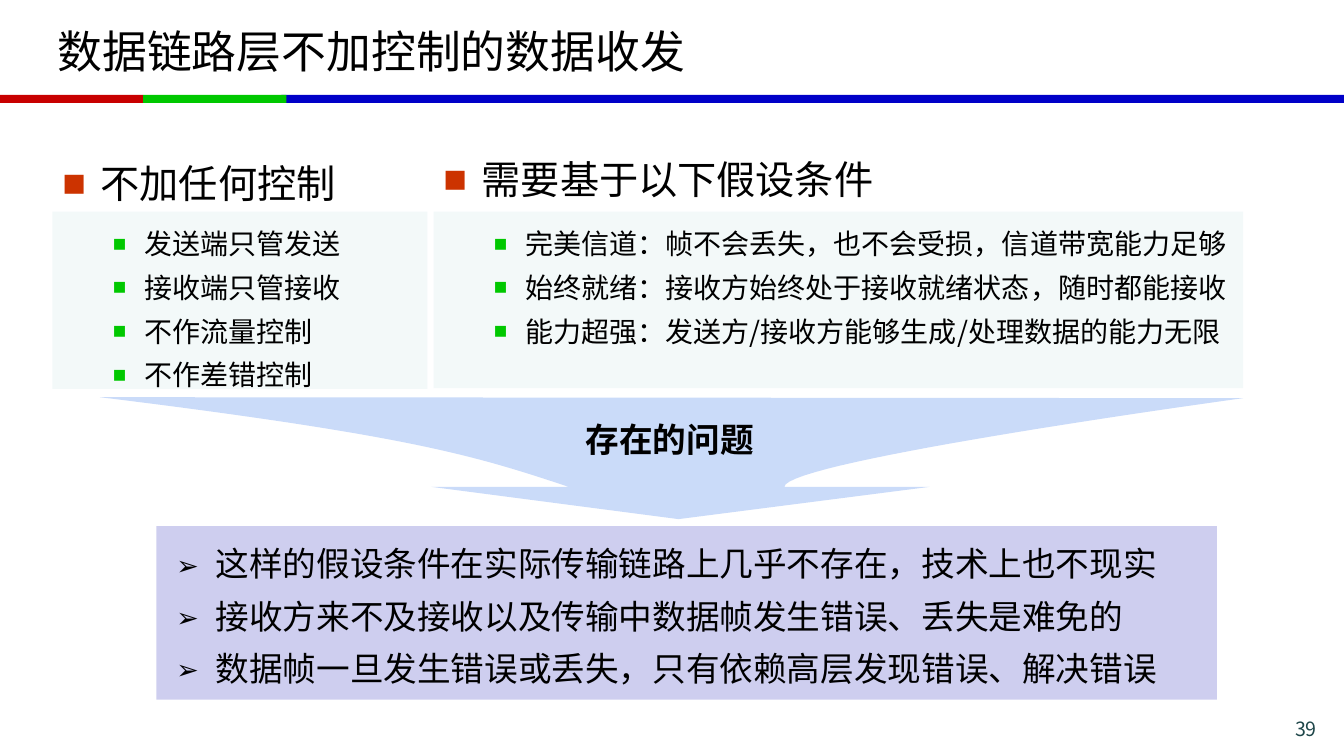
from dataclasses import dataclass

from lxml.etree import SubElement
from pptx import Presentation
from pptx.dml.color import RGBColor
from pptx.enum.shapes import MSO_SHAPE
from pptx.enum.text import MSO_ANCHOR, MSO_AUTO_SIZE, PP_ALIGN
from pptx.oxml.ns import qn
from pptx.shapes.autoshape import Shape
from pptx.slide import Slide
from pptx.text.text import TextFrame
from pptx.util import Inches, Pt


@dataclass(frozen=True)
class Theme:
    font: str = "Noto Sans CJK SC"
    label_font: str = "Arial"
    text: str = "000000"
    number: str = "1E4649"
    red: str = "C80000"
    green: str = "00C800"
    blue: str = "0000C8"
    heading_mark: str = "CC3300"
    panel: str = "8AC6CD"
    arrow: str = "6697F0"
    problems: str = "CECEEF"
    title_size: int = 32
    heading_size: int = 28
    problem_size: int = 24
    panel_size: int = 20
    number_size: int = 14


THEME = Theme()


@dataclass(frozen=True)
class Area:
    left: float
    top: float
    width: float
    height: float

    def lengths(self) -> tuple:
        return tuple(Inches(v) for v in (self.left, self.top, self.width, self.height))


@dataclass(frozen=True)
class Bullet:
    mark: str
    color: str
    margin: float
    hanging: float
    percent: int = 100
    font: str = THEME.label_font


@dataclass(frozen=True)
class TextStyle:
    size: int
    color: str = THEME.text
    font: str = THEME.font
    bold: bool = False
    leading: float | None = None  # line pitch as a multiple of the type size
    level: int = 0
    align: PP_ALIGN = PP_ALIGN.LEFT
    bullet: Bullet | None = None


@dataclass(frozen=True)
class Block:
    area: Area
    lines: tuple[str, ...]
    style: TextStyle
    fill: str | None = None
    opacity: int = 100
    one_line: bool = False


def add_bullet(para, bullet: Bullet) -> None:
    props = para._p.get_or_add_pPr()
    props.set("marL", str(Inches(bullet.margin)))
    props.set("indent", str(-Inches(bullet.hanging)))
    color = SubElement(props, qn("a:buClr"))
    SubElement(color, qn("a:srgbClr"), val=bullet.color)
    SubElement(props, qn("a:buSzPct"), val=str(bullet.percent * 1000))
    SubElement(props, qn("a:buFont"), typeface=bullet.font)
    SubElement(props, qn("a:buChar"), char=bullet.mark)


def write_lines(frame: TextFrame, lines: tuple[str, ...], style: TextStyle) -> None:
    for index, line in enumerate(lines):
        para = frame.add_paragraph() if index else frame.paragraphs[0]
        if style.bullet:
            add_bullet(para, style.bullet)
        para.level = style.level
        para.alignment = style.align
        if style.leading:
            para.line_spacing = Pt(round(style.size * style.leading, 1))
        span = para.add_run()
        span.text = line
        span.font.name = style.font
        span.font.size = Pt(style.size)
        span.font.bold = style.bold
        span.font.color.rgb = RGBColor.from_string(style.color)
        SubElement(span.font._element, qn("a:ea"), typeface=THEME.font)


def paint(shape: Shape, color: str, opacity: int = 100) -> None:
    shape.shadow.inherit = False
    shape.line.fill.background()
    shape.fill.solid()
    shape.fill.fore_color.rgb = RGBColor.from_string(color)
    if opacity < 100:
        tint = shape._element.spPr.find(qn("a:solidFill")).find(qn("a:srgbClr"))
        SubElement(tint, qn("a:alpha"), val=str(opacity * 1000))


def add_panel(page: Slide, area: Area, color: str, opacity: int = 100) -> Shape:
    panel = page.shapes.add_shape(MSO_SHAPE.RECTANGLE, *area.lengths())
    paint(panel, color, opacity)
    return panel


def add_block(page: Slide, block: Block) -> None:
    if block.fill:
        box = add_panel(page, block.area, block.fill, block.opacity)
    else:
        box = page.shapes.add_textbox(*block.area.lengths())
    frame = box.text_frame
    frame.word_wrap = not block.one_line
    if block.one_line:
        frame.auto_size = MSO_AUTO_SIZE.SHAPE_TO_FIT_TEXT
    frame.vertical_anchor = MSO_ANCHOR.TOP
    write_lines(frame, block.lines, block.style)


def curve(*controls: tuple[float, float], steps: int = 32) -> list[tuple[float, float]]:
    """Points along a cubic Bézier curve, both ends included."""
    points = []
    for step in range(steps + 1):
        t = step / steps
        weights = ((1 - t) ** 3, 3 * t * (1 - t) ** 2, 3 * t * t * (1 - t), t ** 3)
        points.append(tuple(sum(w * c[axis] for w, c in zip(weights, controls)) for axis in (0, 1)))
    return points


def add_funnel_arrow(page: Slide) -> None:
    left_side = curve((0.99, 3.94), (4.07, 4.32), (4.71, 4.52), (5.64, 4.83))
    head = [(4.28, 4.83), (6.73, 5.15), (9.22, 4.83)]
    right_side = curve((7.78, 4.83), (7.78, 4.57), (12.33, 3.95), (12.33, 3.95))
    start, *others = [(Inches(x), Inches(y)) for x, y in left_side + head + right_side]
    builder = page.shapes.build_freeform(*start)
    builder.add_line_segments(others, close=True)
    paint(builder.convert_to_shape(), THEME.arrow, 34)


def add_title(page: Slide, text: str) -> None:
    title = page.shapes.title
    title.left, title.top, title.width, title.height = Area(0.47, 0.08, 12.39, 0.84).lengths()
    frame = title.text_frame
    frame.auto_size = MSO_AUTO_SIZE.NONE
    frame.vertical_anchor = MSO_ANCHOR.MIDDLE
    write_lines(frame, (text,), TextStyle(THEME.title_size))


HEADING = TextStyle(THEME.heading_size, leading=1.44, bullet=Bullet("■", THEME.heading_mark, 0.38, 0.38))
POINT = TextStyle(THEME.panel_size, leading=1.56, level=1, bullet=Bullet("■", THEME.green, 0.81, 0.31, 80))
PROBLEM = TextStyle(THEME.problem_size, leading=1.56, level=1,
                    bullet=Bullet("➢", THEME.text, 0.49, 0.39, 80, THEME.font))
LABEL = TextStyle(THEME.problem_size, font=THEME.label_font, bold=True, leading=1.44)
NUMBER = TextStyle(THEME.number_size, color=THEME.number, align=PP_ALIGN.RIGHT)

BARS = (
    (Area(2.79, 0.94, 10.54, 0.08), THEME.blue),
    (Area(0, 0.94, 1.42, 0.08), THEME.red),
    (Area(1.42, 0.94, 1.42, 0.08), THEME.green),
)
BLOCKS = (
    Block(Area(0.52, 2.1, 3.72, 1.76),
          ("发送端只管发送", "接收端只管接收", "不作流量控制", "不作差错控制"),
          POINT, THEME.panel, 10),
    Block(Area(5.71, 4.03, 1.9, 0.54), ("存在的问题",), LABEL),
    Block(Area(4.3, 2.1, 8.03, 1.75),
          ("完美信道：帧不会丢失，也不会受损，信道带宽能力足够",
           "始终就绪：接收方始终处于接收就绪状态，随时都能接收",
           "能力超强：发送方/接收方能够生成/处理数据的能力无限"),
          POINT, THEME.panel, 10),
    Block(Area(0.52, 1.44, 2.91, 0.66), ("不加任何控制",), HEADING, one_line=True),
    Block(Area(4.3, 1.4, 4.46, 0.66), ("需要基于以下假设条件",), HEADING, one_line=True),
    Block(Area(1.55, 5.22, 10.52, 1.72),
          ("这样的假设条件在实际传输链路上几乎不存在，技术上也不现实",
           "接收方来不及接收以及传输中数据帧发生错误、丢失是难免的",
           "数据帧一旦发生错误或丢失，只有依赖高层发现错误、解决错误"),
          PROBLEM, THEME.problems),
    Block(Area(11.86, 7.06, 1.3, 0.28), ("39",), NUMBER),
)


def main() -> None:
    deck = Presentation()
    deck.slide_width, deck.slide_height = Inches(13.33), Inches(7.5)
    page = deck.slides.add_slide(deck.slide_layouts[5])
    for area, color in BARS:
        add_panel(page, area, color)
    add_title(page, "数据链路层不加控制的数据收发")
    add_funnel_arrow(page)
    for block in BLOCKS:
        add_block(page, block)
    deck.save("out.pptx")


if __name__ == "__main__":
    main()
